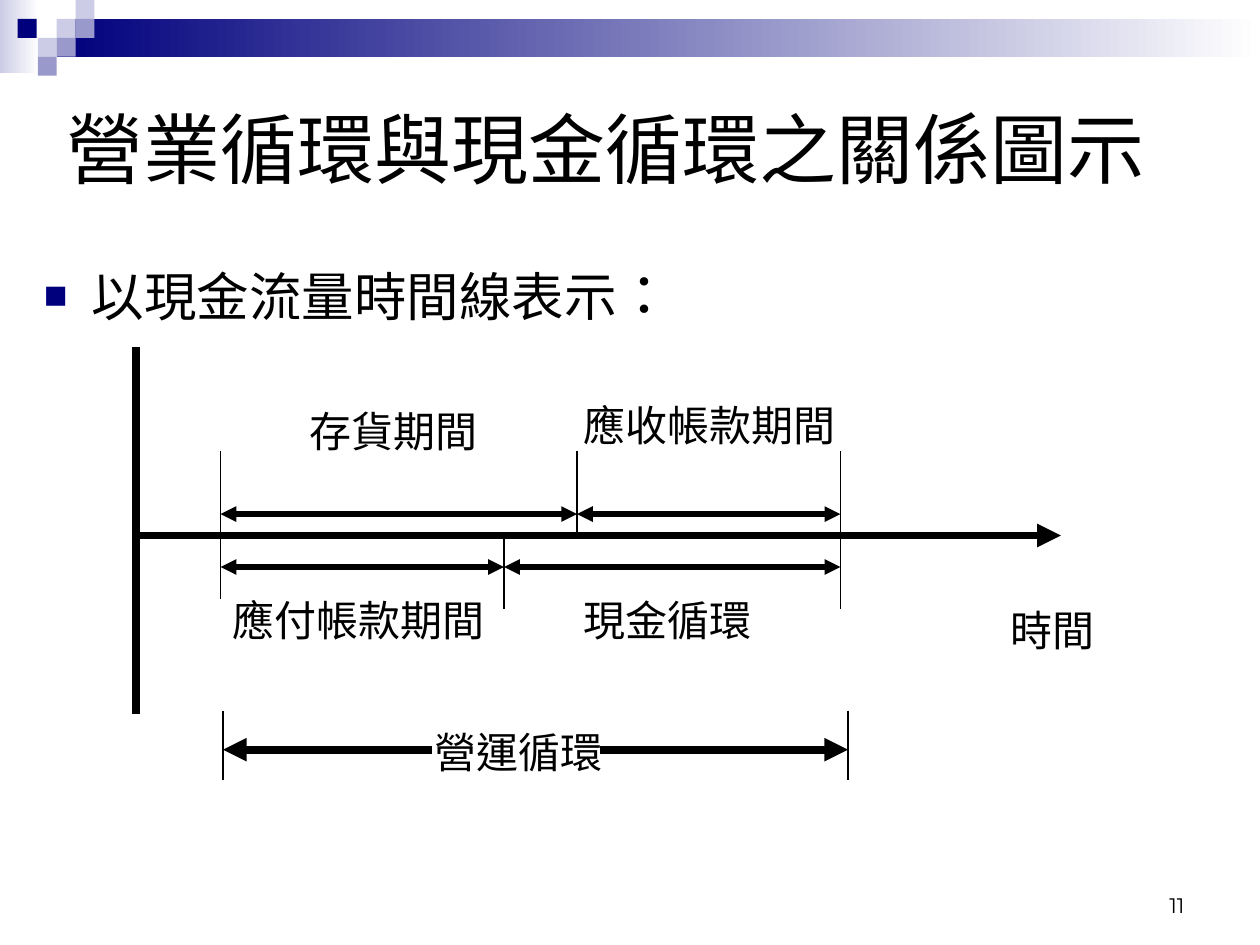
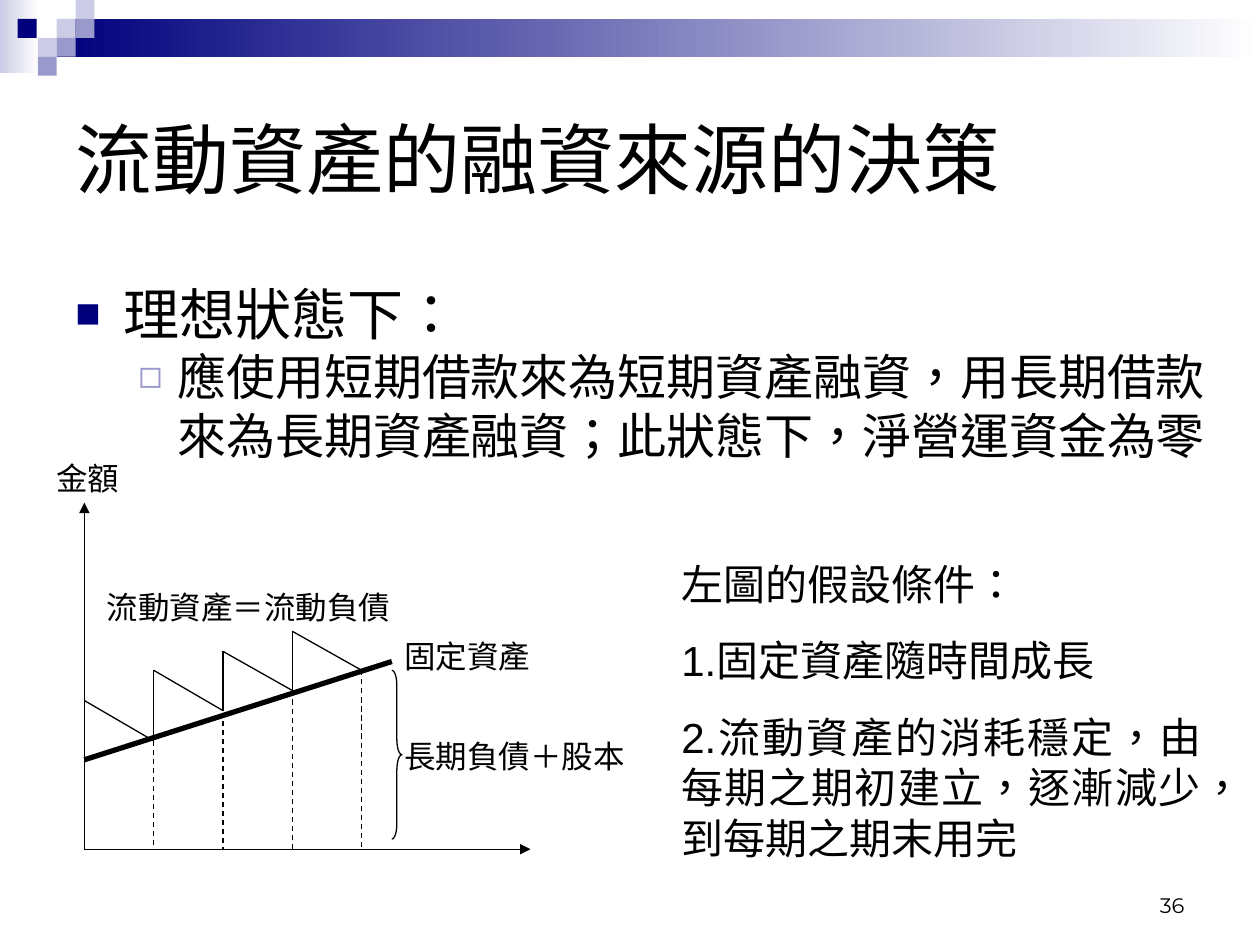
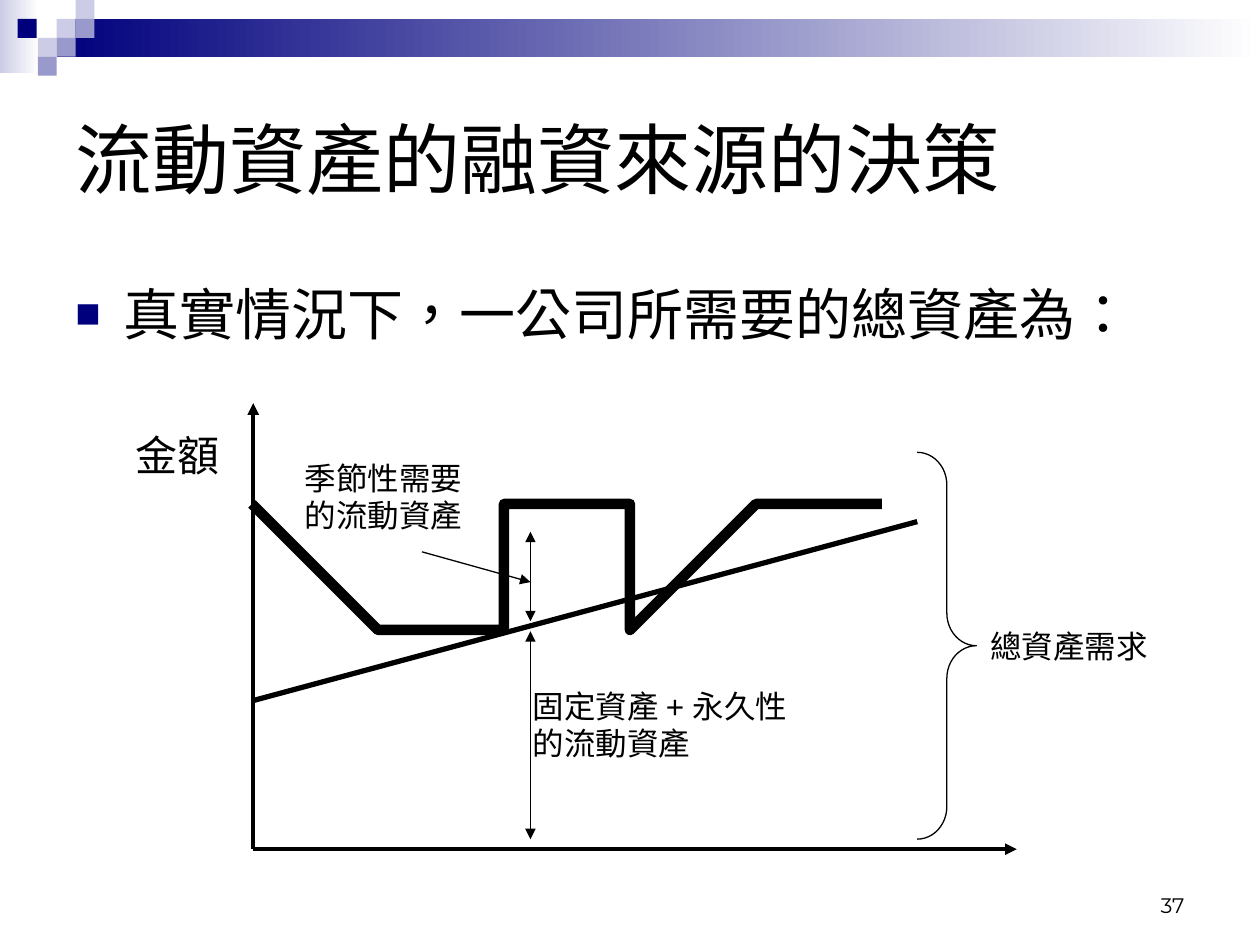
"""Build three slides on the operating cycle and the financing of current assets."""
import pptx
import pptx.util
import pptx.dml.color
import pptx.enum.dml
import pptx.enum.lang
import pptx.enum.shapes
import pptx.enum.text
import lxml.etree
from dataclasses import dataclass

Inches = pptx.util.Inches
Pt = pptx.util.Pt
Kind = pptx.enum.shapes.MSO_SHAPE
Align = pptx.enum.text.PP_ALIGN
Anchor = pptx.enum.text.MSO_ANCHOR
Fit = pptx.enum.text.MSO_AUTO_SIZE
NS = "http://schemas.openxmlformats.org/drawingml/2006/main"


@dataclass(frozen=True)
class Theme:
    ink: str = "000000"
    paper: str = "FFFFFF"
    navy: str = "00007D"
    mid: str = "9999CC"
    pale: str = "CCCCE6"
    sans: str = "Arial"
    serif: str = "Times New Roman"
    digit: str = "Montserrat"
    title: int = 44
    body: int = 32
    sub: int = 28
    big: int = 24
    small: int = 18
    page: int = 12
    thin: float = 0.75
    axis: float = 2.25
    bold: float = 3
    thick: float = 4.5
    curve: float = 6


T = Theme()
BANDS = [((0, 0, 0.31, 0.58), T.pale), ((0.45, 0.15, 9.55, 0.3), T.navy)]
TILE = 0.15
TILES = [
    (0.45, 0.15, T.pale), (0.6, 0, T.pale), (0.6, 0.15, T.mid),
    (0.3, 0.3, T.pale), (0.14, 0.15, T.navy), (0.45, 0.3, T.mid),
    (0.3, 0.45, T.mid),
]
BULLETS = [
    {"mark": "■", "color": T.navy, "pct": 75, "left": 0.38, "hang": 0.38},
    {"mark": "◻", "color": T.mid, "pct": 80, "left": 0.81, "hang": 0.31},
]
SOURCE = "流動資產的融資來源的決策"
HEAD = (0.5, 0.5, 9, 1.5)
PAGES = [
    {
        "page": "11", "title": "營業循環與現金循環之關係圖示",
        "head": (0.43, 0.6, 9, 1.15), "box": (0.25, 2.02, 9.5, 4.65),
        "body": [(0, 8, [("以現金流量時間線表示", 30), ("：", T.body)])],
        "labels": [
            ("時間", (7.92, 4.75, 1.58, 0.5), T.big, T.serif, Align.LEFT),
            ("存貨期間", (2, 3.17, 2.25, 0.5), T.big, T.serif, Align.CENTER),
            ("應收帳款期間", (4.45, 3.12, 2.36, 0.5), T.big, T.serif, Align.CENTER),
            ("應付帳款期間", (1.75, 4.67, 2.25, 0.5), T.big, T.serif, Align.LEFT),
            ("現金循環", (4.53, 4.67, 1.97, 0.5), T.big, T.serif, Align.LEFT),
            ("營運循環", (3.35, 5.72, 2.13, 0.5), T.big, T.sans, Align.LEFT),
        ],
    },
    {
        "page": "36", "title": SOURCE, "head": HEAD, "box": (0.5, 2.17, 9.3, 5.05),
        "body": [
            (0, 0, [("理想狀態下：", T.body)]),
            (1, 0, [("應使用短期借款來為短期資產融資，用長期借款來為長期資產融資；"
                     "此狀態下，淨營運資金為零", T.sub)]),
        ],
        "labels": [
            ("流動資產＝流動負債", (0.75, 4.62, 2.52, 0.4), T.small, T.sans, Align.LEFT),
            ("長期負債＋股本", (3.11, 5.8, 1.97, 0.4), T.small, T.sans, Align.LEFT),
            ("固定資產", (3.11, 5.01, 1.34, 0.4), T.small, T.sans, Align.LEFT),
            ("左圖的假設條件：\n1.固定資產隨時間成長\n"
             "2.流動資產的消耗穩定，由每期之期初建立，逐漸減少，到每期之期末用完",
             (5.31, 4.38, 4.33, 2.52), T.big, T.sans, Align.JUSTIFY),
            ("金額", (0.35, 3.59, 0.87, 0.4), T.small, T.sans, Align.LEFT),
        ],
    },
    {
        "page": "37", "title": SOURCE, "head": HEAD, "box": (0.5, 2.17, 9.3, 5.13),
        "body": [(0, 8, [("真實情況下，一公司所需要的總資產為：", T.body)])],
        "labels": [
            ("金額", (0.98, 3.36, 1.02, 0.5), T.big, T.sans, Align.LEFT),
            ("固定資產 + 永久性的流動資產", (4.13, 5.4, 2.44, 0.7), T.small, T.sans, Align.LEFT),
            ("季節性需要的流動資產", (2.32, 3.59, 1.5, 0.7), T.small, T.sans, Align.LEFT),
            ("總資產需求", (7.76, 4.93, 1.5, 0.4), T.small, T.sans, Align.LEFT),
        ],
    },
]
TOPS = (5.56, 5.32, 5.17, 5.01)
LOWS = (5.88, 5.64, 5.48, 5.32)
DROPS = (5.88, 5.72, 5.48, 5.32)
WAVE = [
    (2.01, 4.46), (2.11, 4.35), (2.22, 4.25), (2.4, 4.38), (2.59, 4.51),
    (2.83, 5.27), (3.11, 5.25), (3.39, 5.22), (3.69, 4.33), (4.06, 4.22),
    (4.42, 4.12), (4.96, 4.73), (5.31, 4.62), (5.67, 4.5), (5.86, 3.61),
    (6.18, 3.51), (6.5, 3.42), (7.03, 3.97), (7.2, 4.06),
]


def rgb(code):
    return pptx.dml.color.RGBColor.from_string(code)


def put(item, **vals):
    for key, val in vals.items():
        setattr(item, key, val)


def node(root, tag, **vals):
    return lxml.etree.SubElement(root, f"{{{NS}}}{tag}", vals)


def frame(slide, at, **vals):
    text = slide.shapes.add_textbox(*map(Inches, at)).text_frame
    put(text, word_wrap=True, **vals)
    return text


def write(para, text, size, face):
    run = para.add_run()
    run.text = text
    put(run.font, size=Pt(size), name=face,
        language_id=pptx.enum.lang.MSO_LANGUAGE_ID.TRADITIONAL_CHINESE)
    run.font.color.rgb = rgb(T.ink)


def rect(slide, at, color, fade=False):
    shape = slide.shapes.add_shape(Kind.RECTANGLE, *map(Inches, at))
    shape.shadow.inherit = False
    shape.line.fill.background()
    if fade:
        shape.fill.gradient()
        shape.fill.gradient_angle = 180
        for stop, tone in zip(shape.fill.gradient_stops, (T.paper, color)):
            stop.color.rgb = rgb(tone)
    else:
        shape.fill.solid()
        shape.fill.fore_color.rgb = rgb(color)


def line(slide, x1, y1, x2, y2, width=T.thin, ends="", dash=None):
    link = slide.shapes.add_connector(
        pptx.enum.shapes.MSO_CONNECTOR.STRAIGHT, *map(Inches, (x1, y1, x2, y2)))
    link.line.color.rgb = rgb(T.ink)
    put(link.line, width=Pt(width), dash_style=dash)
    prop = link._element.spPr
    for end in ends.split():
        node(prop.find(f"{{{NS}}}ln"), end, type="triangle")
    node(prop, "effectLst")


def trace(shape, width):
    shape.shadow.inherit = False
    shape.fill.background()
    shape.line.color.rgb = rgb(T.ink)
    shape.line.width = Pt(width)


def brace(slide, at, bend):
    shape = slide.shapes.add_shape(Kind.RIGHT_BRACE, *map(Inches, at))
    shape.adjustments[0] = bend
    trace(shape, T.thin)


def bezier(pts, steps=20):
    for i in range(0, len(pts) - 1, 3):
        for k in range(1, steps + 1):
            t = k / steps
            mix = ((1 - t) ** 3, 3 * t * (1 - t) ** 2, 3 * t * t * (1 - t), t ** 3)
            yield tuple(sum(m * p[n] for m, p in zip(mix, pts[i:i + 4])) for n in (0, 1))


def bullet(para, level):
    look = BULLETS[level]
    prop = para._p.get_or_add_pPr()
    prop.set("marL", str(Inches(look["left"])))
    prop.set("indent", str(-Inches(look["hang"])))
    node(node(prop, "buClr"), "srgbClr", val=look["color"])
    node(prop, "buSzPct", val=str(look["pct"] * 1000))
    node(prop, "buFont", typeface=T.sans)
    node(prop, "buChar", char=look["mark"])


def base(slide, data):
    for at, color in BANDS:
        rect(slide, at, color, fade=True)
    for x, y, color in TILES:
        rect(slide, (x, y, TILE, TILE), color)
    text = frame(slide, data["head"], vertical_anchor=Anchor.MIDDLE)
    write(text.paragraphs[0], data["title"], T.title, T.sans)
    text = frame(slide, data["box"])
    for i, (level, gap, runs) in enumerate(data["body"]):
        para = text.add_paragraph() if i else text.paragraphs[0]
        put(para, level=level, space_before=Pt(gap))
        bullet(para, level)
        for words, size in runs:
            write(para, words, size, T.sans)
    text = frame(slide, (7.17, 6.83, 2.33, 0.5), vertical_anchor=Anchor.BOTTOM)
    text.paragraphs[0].alignment = Align.RIGHT
    write(text.paragraphs[0], data["page"], T.page, T.digit)


def label(slide, words, at, size, face, align):
    text = frame(slide, at, auto_size=Fit.SHAPE_TO_FIT_TEXT)
    for i, part in enumerate(words.split("\n")):
        para = text.add_paragraph() if i else text.paragraphs[0]
        put(para, alignment=align, space_before=Pt(size * 0.625))
        write(para, part, size, face)


def cycle(slide):
    start, pay, sell, end, mid = 1.75, 4, 4.58, 6.67, 4.25
    line(slide, 1.08, 2.75, 1.08, 5.67, T.thick)
    line(slide, 1.08, mid, 8.42, mid, T.thick, "tailEnd")
    for x, top, low in ((start, 3.58, 4.75), (end, 3.58, 4.83),
                        (sell, 3.58, mid), (pay, mid, 4.83)):
        line(slide, x, top, x, low)
    for y, cut in ((4.08, sell), (4.5, pay)):
        for a, b in ((start, cut), (cut, end)):
            line(slide, a, y, b, y, T.bold, "headEnd tailEnd")
    for inner, outer in ((3.43, 1.77), (4.76, 6.73)):
        line(slide, outer, 5.64, outer, 6.19)
        line(slide, inner, 5.95, outer, 5.95, T.thick, "tailEnd")


def axes(slide, x, y, top, right, width):
    line(slide, x, y, x, top, width, "tailEnd")
    line(slide, x, y, right, y, width, "tailEnd")


def ideal(slide):
    left, floor, step = 0.67, 6.74, 0.55
    axes(slide, left, floor, 3.99, 4.21, T.thin)
    line(slide, left, 6.03, 3.11, 5.25, T.bold)
    for i, (top, low, drop) in enumerate(zip(TOPS, LOWS, DROPS)):
        x = left + i * step
        line(slide, x, top, x + step, low)
        if i:
            line(slide, x, LOWS[i - 1], x, top)
        line(slide, x + step, drop, x + step, floor,
             dash=pptx.enum.dml.MSO_LINE.DASH)
    brace(slide, (3.11, 5.32, 0.08, 1.34), 1.5)


def actual(slide):
    axes(slide, 2.01, 6.74, 3.2, 8.07, T.axis)
    line(slide, 2.01, 5.56, 7.28, 4.14, T.bold)
    pen = slide.shapes.build_freeform(*WAVE[0], scale=Inches(1))
    pen.add_line_segments(list(bezier(WAVE)), close=False)
    trace(pen.convert_to_shape(), T.curve)
    brace(slide, (7.28, 3.59, 0.47, 3.07), 0.55)
    for top, low in ((5.01, 6.66), (4.22, 4.93)):
        line(slide, 4.21, top, 4.21, low, ends="headEnd tailEnd")
    line(slide, 3.35, 4.38, 4.21, 4.62, ends="tailEnd")


def main():
    deck = pptx.Presentation()
    put(deck, slide_width=Inches(10), slide_height=Inches(7.5))
    for data, draw in zip(PAGES, (cycle, ideal, actual)):
        slide = deck.slides.add_slide(deck.slide_layouts[6])
        base(slide, data)
        draw(slide)
        for item in data["labels"]:
            label(slide, *item)
    deck.save("out.pptx")


if __name__ == "__main__":
    main()
